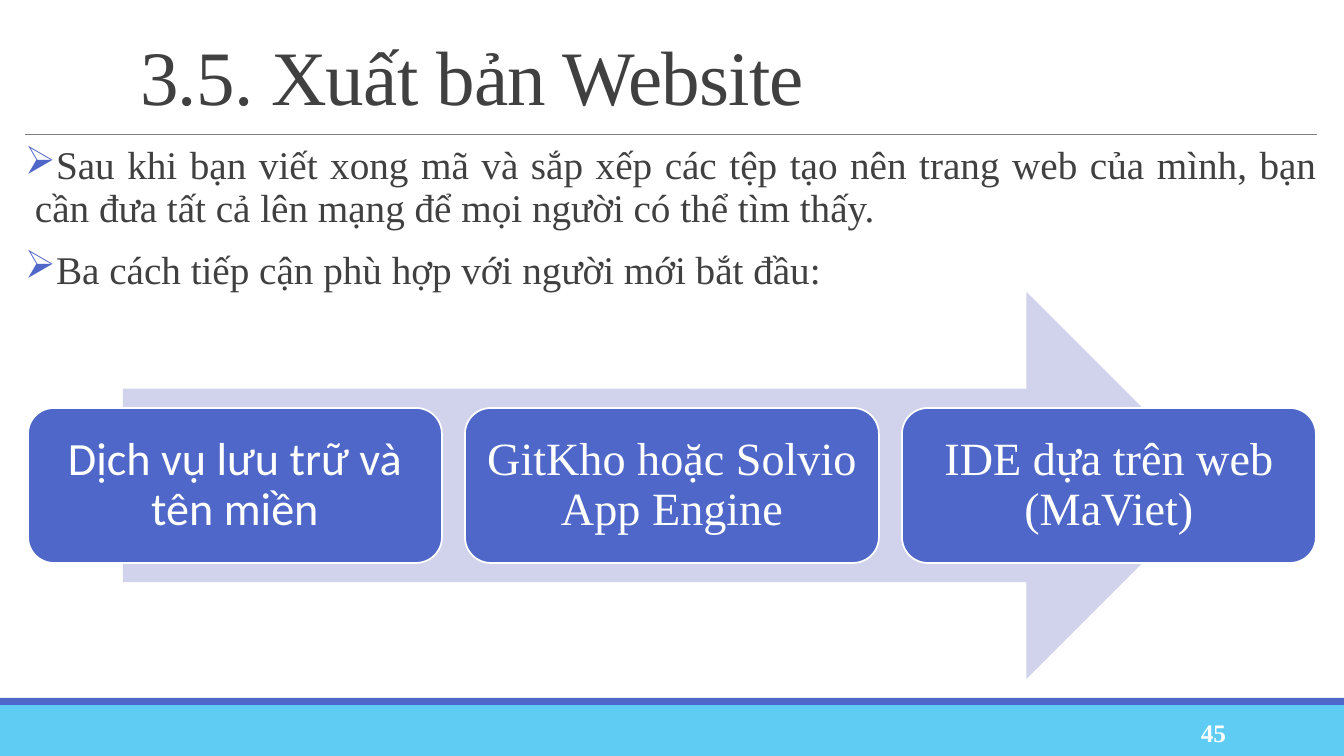
import pptx
import pptx.dml.color
import pptx.enum.shapes
import pptx.enum.text
import pptx.oxml.ns
import pptx.util
from lxml import etree

EMU_PER_PX = 914400 / 100.8
SHAPE = pptx.enum.shapes.MSO_SHAPE
ANCHOR = pptx.enum.text.MSO_ANCHOR
ALIGN = pptx.enum.text.PP_ALIGN
SERIF = "Times New Roman"
INK, BLUE, CYAN, PALE, WHITE, GREY = "404040", "4E67C8", "5ECCF3", "D0D3EB", "FFFFFF", "808080"


def px(length):
    return pptx.util.Emu(round(length * EMU_PER_PX))


def color(value):
    return pptx.dml.color.RGBColor.from_string(value)


def add_child(parent, tag, **attributes):
    return etree.SubElement(parent, pptx.oxml.ns.qn(tag), attributes)


def write_text(frame, paragraphs, size, font=SERIF, ink=INK, bold=False, align=ALIGN.LEFT,
               anchor=ANCHOR.TOP, insets=(10, 5, 10, 5), line_spacing=1.0,
               before=0, after=0, bullet=None, tracking=None):
    frame.word_wrap = True
    frame.vertical_anchor = anchor
    frame.margin_left, frame.margin_top, frame.margin_right, frame.margin_bottom = map(px, insets)
    for index, text in enumerate(paragraphs):
        paragraph = frame.add_paragraph() if index else frame.paragraphs[0]
        if bullet:
            properties = paragraph._p.get_or_add_pPr()
            properties.set("marL", str(px(10)))
            properties.set("indent", str(-px(10)))
            add_child(add_child(properties, "a:buClr"), "a:srgbClr", val=BLUE)
            add_child(properties, "a:buChar", char=bullet)
        paragraph.alignment = align
        paragraph.line_spacing = line_spacing
        paragraph.space_before = pptx.util.Pt(before if index else 0)
        paragraph.space_after = pptx.util.Pt(after)
        run = paragraph.add_run()
        run.text = text
        run.font.size = pptx.util.Pt(size)
        run.font.name = font
        run.font.bold = bold
        run.font.color.rgb = color(ink)
        if tracking:
            run._r.get_or_add_rPr().set("spc", str(tracking))


class SlideBuilder:
    def __init__(self, presentation):
        self.slide = presentation.slides.add_slide(presentation.slide_layouts[6])
        self.shapes = self.slide.shapes

    def shape(self, kind, left, top, width, height, fill, outline=None):
        shape = self.shapes.add_shape(kind, px(left), px(top), px(width), px(height))
        shape.shadow.inherit = False
        shape.fill.solid()
        shape.fill.fore_color.rgb = color(fill)
        if outline:
            shape.line.color.rgb = color(outline)
            shape.line.width = pptx.util.Pt(1.25)
        else:
            shape.line.fill.background()
        return shape

    def rule(self, left, right, y):
        line = self.shapes.add_connector(
            pptx.enum.shapes.MSO_CONNECTOR.STRAIGHT, px(left), px(y), px(right), px(y))
        line.line.color.rgb = color(GREY)
        line.line.width = pptx.util.Pt(0.5)
        add_child(line._element.spPr, "a:effectLst")

    def text(self, left, top, width, height, paragraphs, **style):
        box = self.shapes.add_textbox(px(left), px(top), px(width), px(height))
        write_text(box.text_frame, paragraphs, **style)

    def step(self, left, label, font):
        card = self.shape(SHAPE.ROUNDED_RECTANGLE, left, 408, 414, 155, BLUE, WHITE)
        write_text(card.text_frame, [label], size=33, font=font, ink=WHITE, align=ALIGN.CENTER,
                   anchor=ANCHOR.MIDDLE, insets=(14, 14, 14, 14), line_spacing=0.9)


def main():
    presentation = pptx.Presentation()
    presentation.slide_width, presentation.slide_height = px(1344), px(756)
    builder = SlideBuilder(presentation)

    builder.shape(SHAPE.RECTANGLE, 0, 705, 1344, 51, CYAN)
    builder.shape(SHAPE.RECTANGLE, 0, 698, 1344, 7, BLUE)
    builder.rule(25, 1317, 134)
    builder.text(130, 31, 1187, 97, ["3.5. Xuất bản Website"], size=55, tracking=-50,
                 anchor=ANCHOR.BOTTOM, insets=(10, 5, 10, 7), line_spacing=0.85)
    builder.text(25, 141, 1292, 538, [
        "Sau khi bạn viết xong mã và sắp xếp các tệp tạo nên trang web của mình, "
        "bạn cần đưa tất cả lên mạng để mọi người có thể tìm thấy.",
        "Ba cách tiếp cận phù hợp với người mới bắt đầu:",
    ], size=28, align=ALIGN.JUSTIFY, insets=(0, 5, 0, 5), line_spacing=0.9,
        before=12, after=2, bullet="➢")
    builder.text(1092, 712, 144, 40, ["45"], size=18, ink=WHITE, bold=True,
                 align=ALIGN.RIGHT, anchor=ANCHOR.MIDDLE)

    builder.shape(SHAPE.RIGHT_ARROW, 123, 292, 1097, 387, PALE)
    steps = [
        ("Dịch vụ lưu trữ và tên miền", "Calibri"),
        ("GitKho hoặc Solvio App Engine", SERIF),
        ("IDE dựa trên web (MaViet)", SERIF),
    ]
    for index, (label, font) in enumerate(steps):
        builder.step(28 + 437 * index, label, font)

    presentation.save("out.pptx")


if __name__ == "__main__":
    main()
